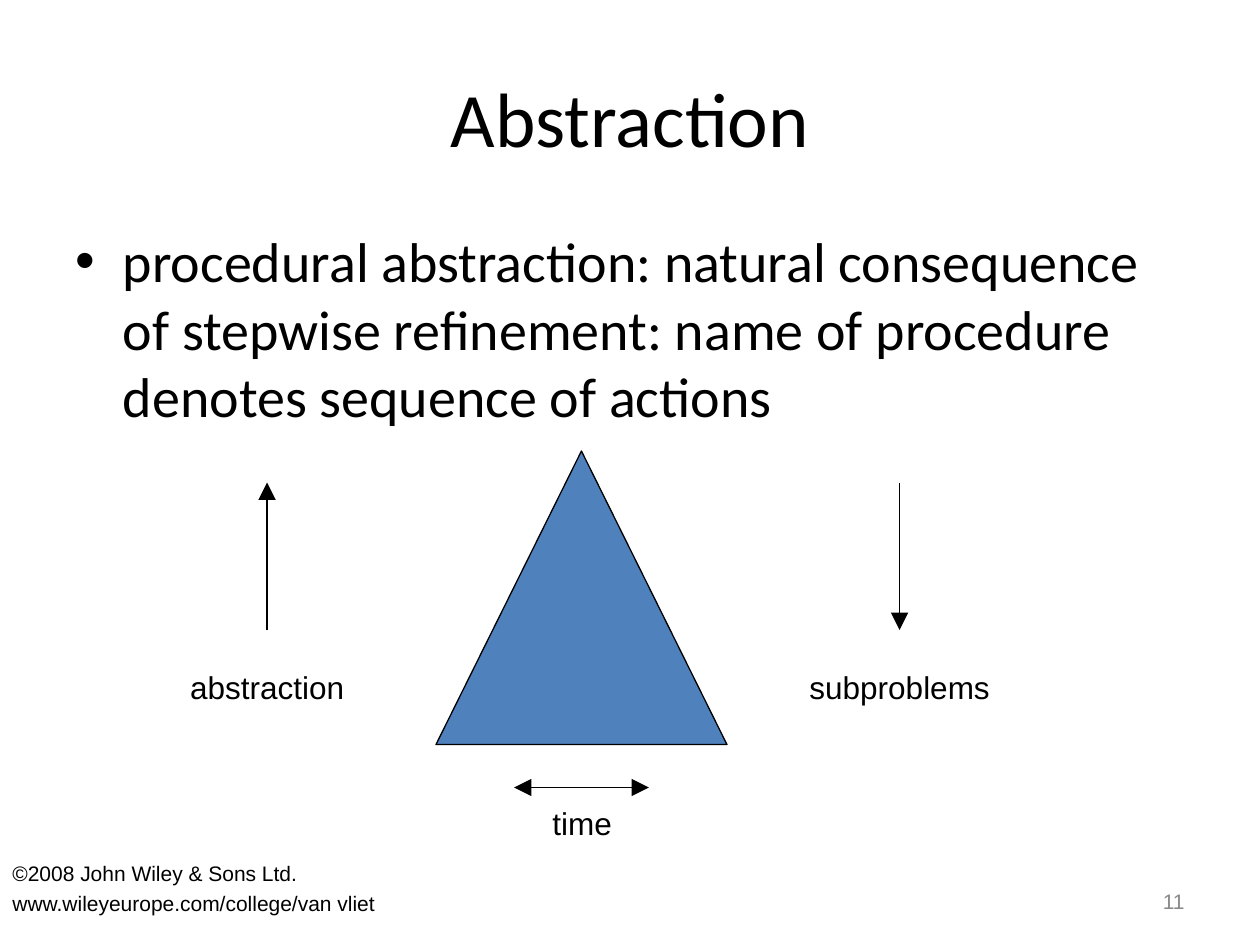
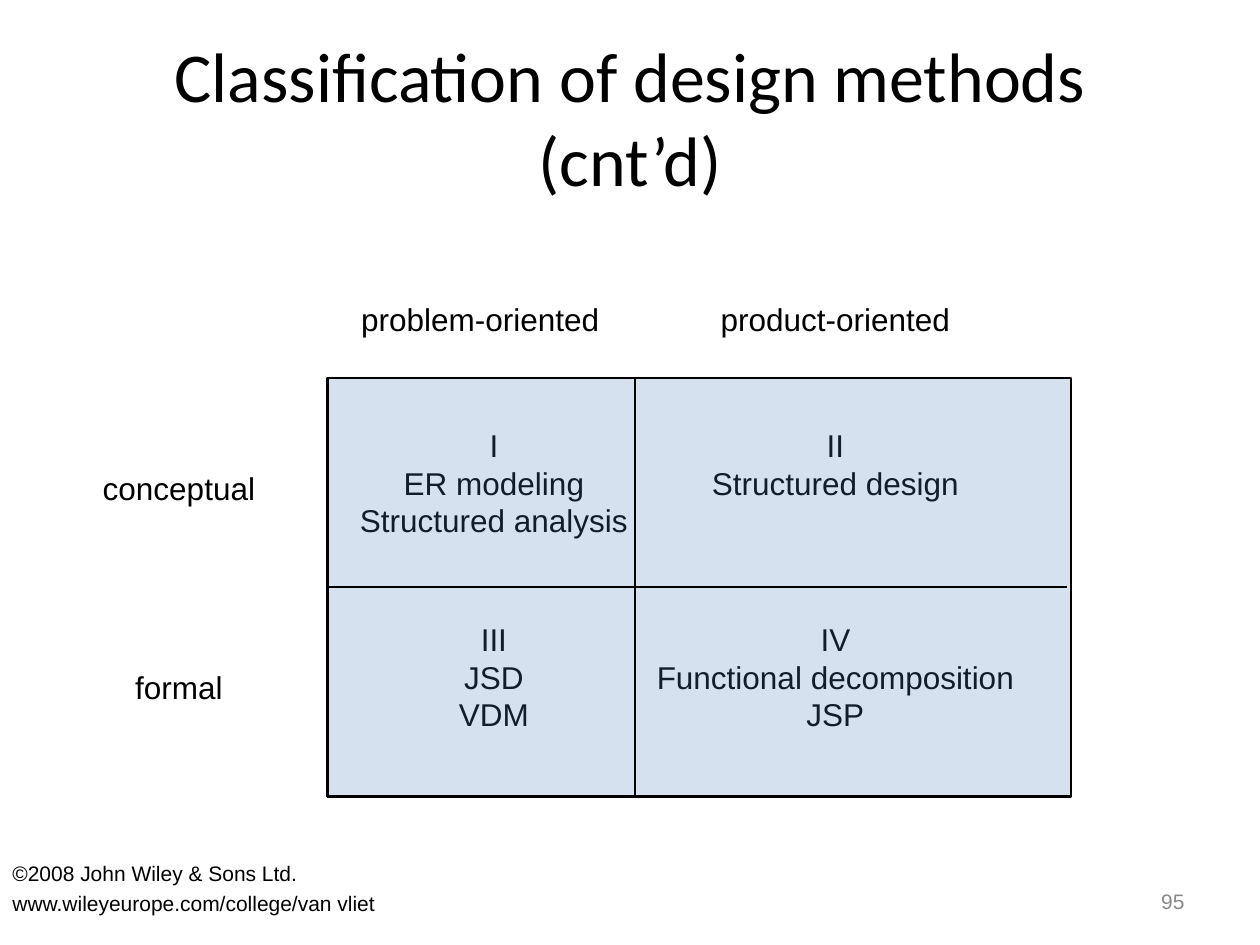
import pptx
import pptx.util
import pptx.dml.color
import pptx.enum.shapes
import pptx.enum.text
import pptx.oxml.ns
from lxml import etree

Inches = pptx.util.Inches
Pt = pptx.util.Pt
Shape = pptx.enum.shapes.MSO_SHAPE
Align = pptx.enum.text.PP_ALIGN
Anchor = pptx.enum.text.MSO_ANCHOR
Fit = pptx.enum.text.MSO_AUTO_SIZE
qn = pptx.oxml.ns.qn

COLORS = {"ink": "000000", "blue": "4F81BD", "gray": "898989"}
FOOTER = ["©2008 John Wiley & Sons Ltd.", "www.wileyeurope.com/college/van vliet"]
SLACK = 0.06  # spare label width, so that no line breaks


def color(name):
    return pptx.dml.color.RGBColor.from_string(COLORS[name])


def style(frame, size, font="Arial", ink="ink", align=Align.LEFT, gap=0):
    """Format all runs; gap is the space before every paragraph but the first."""
    for i, para in enumerate(frame.paragraphs):
        para.alignment = align
        para.space_before = Pt(gap if i else 0)
        for run in para.runs:
            run.font.size = Pt(size)
            run.font.name = font
            run.font.color.rgb = color(ink)


def fill_holder(holder, text, box, size, align):
    holder.left, holder.top, holder.width, holder.height = map(Inches, box)
    holder.text_frame.text = text
    holder.text_frame.auto_size = Fit.NONE
    style(holder.text_frame, size, "Calibri", align=align)


def add_text(slide, lines, box, size, wrap=True, **look):
    frame = slide.shapes.add_textbox(*map(Inches, box)).text_frame
    frame.word_wrap = wrap
    frame.text = "\n".join(lines)
    style(frame, size, **look)
    return frame


def add_label(slide, lines, center, top, width):
    width += SLACK
    box = (center - width / 2, top, width, 0.1 + 0.3 * len(lines))
    frame = add_text(slide, lines, box, 18, wrap=False, align=Align.CENTER)
    frame.auto_size = Fit.SHAPE_TO_FIT_TEXT


def add_block(slide, kind, box, weight, alpha=None):
    block = slide.shapes.add_shape(kind, *map(Inches, box))
    block.shadow.inherit = False
    block.fill.solid()
    block.fill.fore_color.rgb = color("blue")
    block.line.color.rgb = color("ink")
    block.line.width = Pt(weight)
    if alpha:
        tint = block.fill._xPr.find(".//" + qn("a:srgbClr"))
        etree.SubElement(tint, qn("a:alpha"), val=str(alpha * 1000))
    return block


def add_line(slide, start, end, weight, heads=()):
    """heads names the ends with an arrowhead: headEnd at start, tailEnd at end."""
    line = slide.shapes.add_connector(
        pptx.enum.shapes.MSO_CONNECTOR.STRAIGHT, *map(Inches, start + end))
    line.line.color.rgb = color("ink")
    line.line.width = Pt(weight)
    for head in heads:
        etree.SubElement(line.line._get_or_add_ln(), qn("a:" + head),
                         type="triangle", w="lg", len="lg")
    etree.SubElement(line._element.spPr, qn("a:effectLst"))
    return line


def add_slide(deck, layout, title, size, number):
    slide = deck.slides.add_slide(deck.slide_layouts[layout])
    fill_holder(slide.shapes.title, title, (0.5, 0.3, 9, 1.25), size, Align.CENTER)
    frame = add_text(slide, [str(number)], (7.17, 6.95, 2.33, 0.4), 12,
                     ink="gray", align=Align.RIGHT)
    frame.vertical_anchor = Anchor.MIDDLE
    add_text(slide, FOOTER, (0, 6.78, 6.58, 0.72), 12, gap=3)
    return slide


def abstraction(deck):
    slide = add_slide(deck, 1, "Abstraction", 44, 11)
    fill_holder(slide.placeholders[1],
                "procedural abstraction: natural consequence of stepwise refinement: "
                "name of procedure denotes sequence of actions",
                (0.5, 1.75, 9, 4.95), 32, Align.LEFT)
    add_block(slide, Shape.ISOSCELES_TRIANGLE, (3.46, 3.58, 2.31, 2.33), 0.75)
    high, low = 3.83, 5
    up, down = 2.12, 7.14
    add_line(slide, (up, low), (up, high), 0.75, ["tailEnd"])
    add_line(slide, (down, high), (down, low), 0.75, ["tailEnd"])
    add_line(slide, (4.08, 6.25), (5.15, 6.25), 0.75, ["headEnd", "tailEnd"])
    add_label(slide, ["abstraction"], up, 5.25, 1.42)
    add_label(slide, ["subproblems"], down, 5.25, 1.63)
    add_label(slide, ["time"], 4.62, 6.33, 0.67)


def methods(deck):
    slide = add_slide(deck, 5, "Classification of design methods (cnt’d)", 40, 95)
    left, right = 3.92, 6.63
    upper, lower = 3.33, 4.87
    for lines, center, top, width in [
        (["I", "ER modeling", "Structured analysis"], left, upper, 2.32),
        (["II", "Structured design"], right, upper, 2.16),
        (["III", "JSD", "VDM"], left, lower, 0.75),
        (["IV", "Functional decomposition", "JSP"], right, lower, 3.03),
        (["conceptual"], 1.42, 3.67, 1.41),
        (["formal"], 1.42, 5.25, 0.89),
        (["problem-oriented"], 3.81, 2.33, 2.09),
        (["product-oriented"], right, 2.33, 2.02),
    ]:
        add_label(slide, lines, center, top, width)
    grid = add_block(slide, Shape.RECTANGLE, (2.6, 3, 5.9, 3.32), 1.5, alpha=23)
    row = add_line(slide, (2.6, 4.66), (8.47, 4.66), 1.5)
    row.begin_connect(grid, 1)
    add_line(slide, (5.04, 3), (5.04, 6.32), 1.5)


def main():
    deck = pptx.Presentation()
    deck.slide_width, deck.slide_height = Inches(10), Inches(7.5)
    abstraction(deck)
    methods(deck)
    deck.save("out.pptx")


if __name__ == "__main__":
    main()
